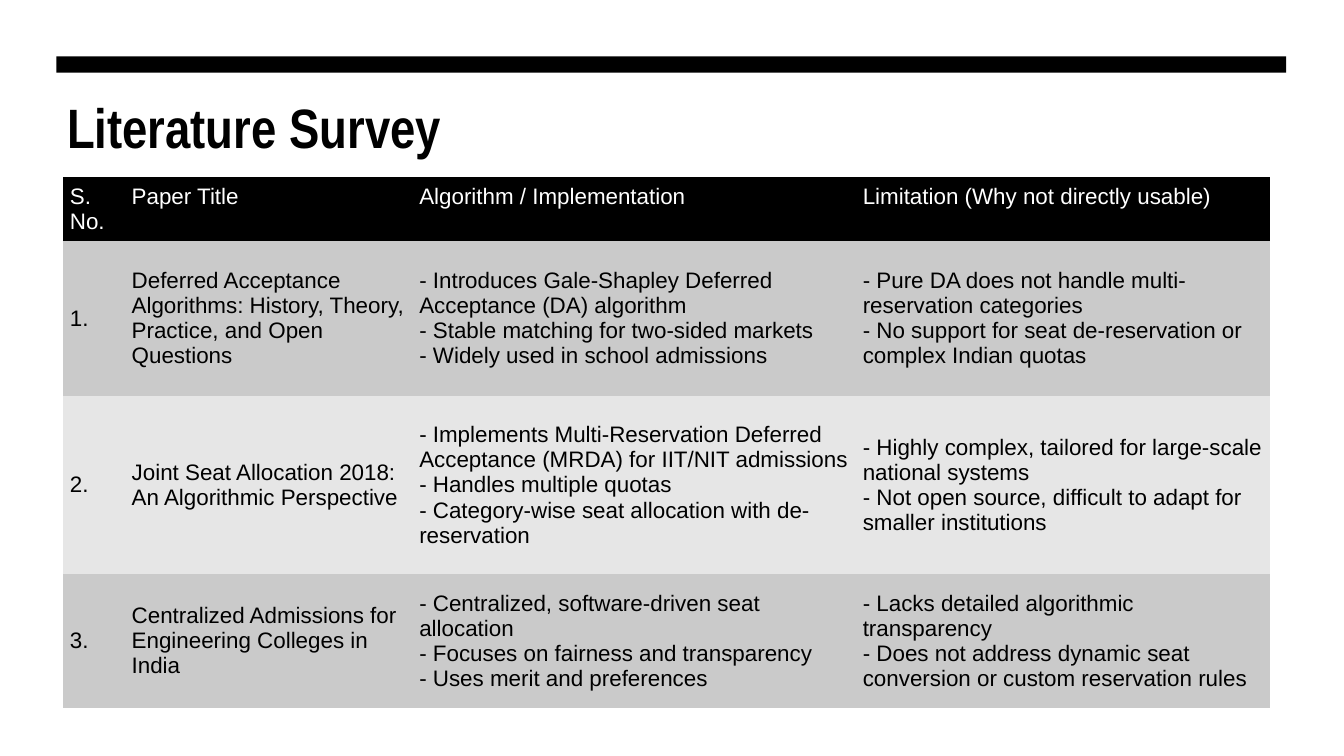
from lxml.etree import SubElement
from pptx import Presentation
from pptx.dml.color import RGBColor
from pptx.enum.shapes import MSO_SHAPE
from pptx.enum.text import MSO_ANCHOR
from pptx.oxml.ns import qn
from pptx.util import Inches, Pt

COLORS = {"black": "000000", "white": "FFFFFF", "dark": "CACACA", "light": "E6E6E6"}
COL_WIDTHS = [0.46, 2.14, 3.3, 3.08]
ROW_HEIGHTS = [0.47, 1.16, 1.32, 1]
HEADER = ["S. No.", "Paper Title", "Algorithm / Implementation",
          "Limitation (Why not directly usable)"]
PAPERS = [
    ["1.",
     "Deferred Acceptance Algorithms: History, Theory, Practice, and Open Questions",
     "- Introduces Gale-Shapley Deferred Acceptance (DA) algorithm\n"
     "- Stable matching for two-sided markets\n"
     "- Widely used in school admissions",
     "- Pure DA does not handle multi-reservation categories\n"
     "- No support for seat de-reservation or complex Indian quotas"],
    ["2.",
     "Joint Seat Allocation 2018: An Algorithmic Perspective",
     "- Implements Multi-Reservation Deferred Acceptance (MRDA) for IIT/NIT admissions\n"
     "- Handles multiple quotas\n"
     "- Category-wise seat allocation with de-reservation",
     "- Highly complex, tailored for large-scale national systems\n"
     "- Not open source, difficult to adapt for smaller institutions"],
    ["3.",
     "Centralized Admissions for Engineering Colleges in India",
     "- Centralized, software-driven seat allocation\n"
     "- Focuses on fairness and transparency\n"
     "- Uses merit and preferences",
     "- Lacks detailed algorithmic transparency\n"
     "- Does not address dynamic seat conversion or custom reservation rules"],
]


def rgb(name):
    """Return the named colour."""
    return RGBColor.from_string(COLORS[name])


def set_attrs(obj, values):
    """Set each attribute in a dict of format values."""
    for name, value in values.items():
        setattr(obj, name, value)


def write(p, text, color, **font):
    """Fill a paragraph with formatted text, sizing its line breaks too."""
    p.text = text
    for r in p.runs:
        set_attrs(r.font, font)
        r.font.color.rgb = rgb(color)
    for br in p._p.findall(qn("a:br")):
        SubElement(br, qn("a:rPr")).set("sz", str(font["size"].centipoints))


def add_bar(slide):
    """Add the black bar across the top."""
    s = slide.shapes.add_shape(MSO_SHAPE.RECTANGLE, Inches(0.42), Inches(0.42),
                               Inches(9.15), Inches(0.12))
    s.shadow.inherit = False
    s.fill.solid()
    s.fill.fore_color.rgb = rgb("black")
    s.line.fill.background()


def add_title(slide, text):
    """Add the slide title."""
    sp = slide.shapes.add_textbox(Inches(0.43), Inches(0.65), Inches(9.15), Inches(0.49))
    tf = sp.text_frame
    set_attrs(tf, {"word_wrap": True, "margin_left": Inches(0.07),
                   "margin_right": Inches(0.07), "margin_top": Inches(0.04),
                   "margin_bottom": Inches(0.04)})
    write(tf.paragraphs[0], text, "black", name="Arial Narrow", size=Pt(29.7), bold=True)


def format_cell(cell, text, fill, color, anchor, top, bottom):
    """Fill and format one table cell."""
    set_attrs(cell, {"margin_left": Inches(0.05), "margin_right": Inches(0.05),
                     "margin_top": Inches(top), "margin_bottom": Inches(bottom),
                     "vertical_anchor": anchor})
    cell.fill.solid()
    cell.fill.fore_color.rgb = rgb(fill)
    write(cell.text_frame.paragraphs[0], text, color, name="Arial", size=Pt(12), bold=False)


def add_survey_table(slide):
    """Add the table of surveyed papers."""
    rows = [HEADER] + PAPERS
    table = slide.shapes.add_table(len(rows), len(HEADER), Inches(0.47), Inches(1.32),
                                   Inches(sum(COL_WIDTHS)), Inches(sum(ROW_HEIGHTS))).table
    for col, width in zip(table.columns, COL_WIDTHS):
        col.width = Inches(width)
    for i, (row, height, texts) in enumerate(zip(table.rows, ROW_HEIGHTS, rows)):
        row.height = Inches(height)
        if i == 0:
            style = ("black", "white", MSO_ANCHOR.TOP, 0.05, 0.02)
        else:
            style = ("dark" if i % 2 else "light", "black", MSO_ANCHOR.MIDDLE, 0.04, 0.04)
        for cell, text in zip(row.cells, texts):
            format_cell(cell, text, *style)
    set_attrs(table, {"first_row": False, "horz_banding": False})
    table._tbl.tblPr.find(qn("a:tableStyleId")).text = "{2D5ABB26-0587-4C30-8999-92F81FD0307C}"


def main():
    """Build and save the slide."""
    prs = Presentation()
    set_attrs(prs, {"slide_width": Inches(10), "slide_height": Inches(10) * 9 // 16})
    slide = prs.slides.add_slide(prs.slide_layouts[6])
    add_bar(slide)
    add_title(slide, "Literature Survey")
    add_survey_table(slide)
    prs.save("out.pptx")


if __name__ == "__main__":
    main()
